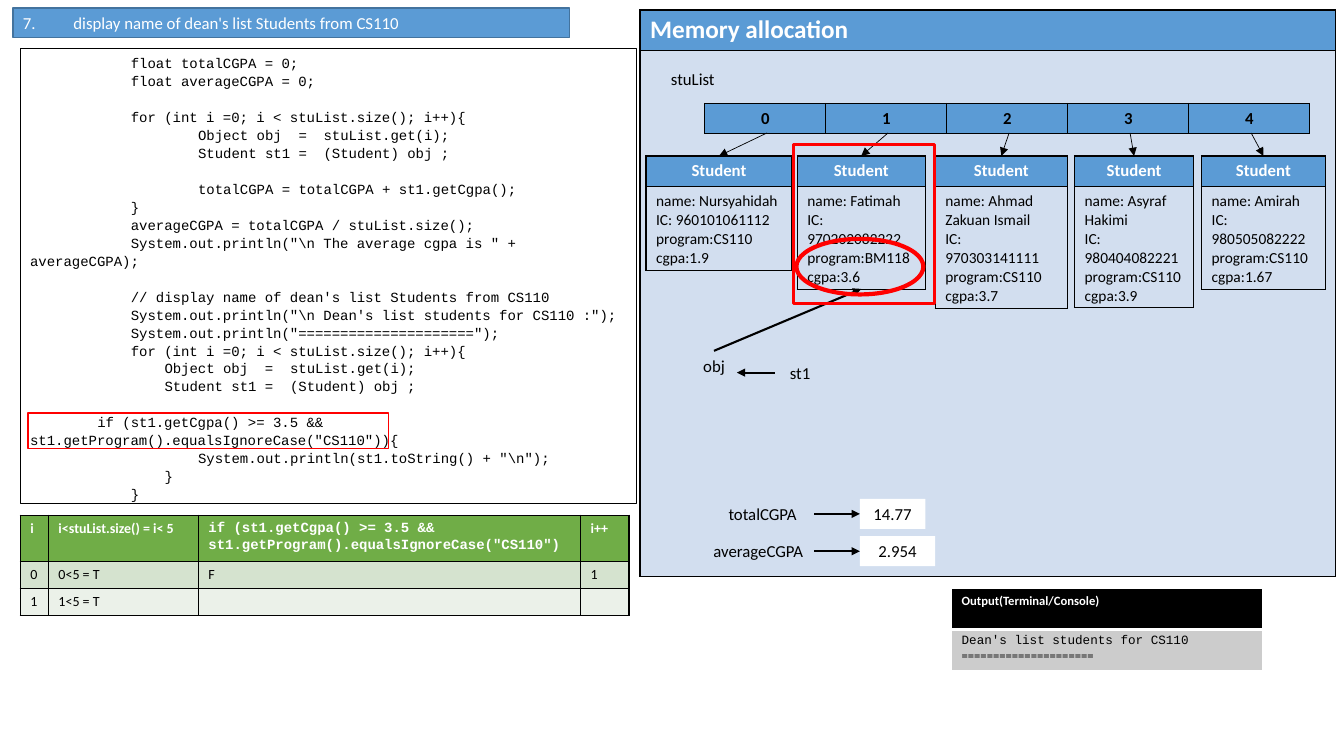
from dataclasses import dataclass
from lxml import etree
from pptx import Presentation
from pptx.dml.color import RGBColor
from pptx.enum.shapes import MSO_CONNECTOR, MSO_SHAPE
from pptx.enum.text import MSO_ANCHOR, PP_ALIGN
from pptx.oxml.ns import qn
from pptx.util import Cm, Pt

RECT, OVAL = MSO_SHAPE.RECTANGLE, MSO_SHAPE.OVAL
LINE = MSO_CONNECTOR.STRAIGHT
LEFT, MID = PP_ALIGN.LEFT, PP_ALIGN.CENTER
TOP, HALF = MSO_ANCHOR.TOP, MSO_ANCHOR.MIDDLE


@dataclass(frozen=True)
class Theme:
    ink: str = "000000"
    white: str = "FFFFFF"
    blue: str = "5B9BD5"
    edge: str = "43739E"
    pale: str = "D2DEEF"
    green: str = "70AD47"
    band: str = "D5E3CF"
    light: str = "EBF1E9"
    gray: str = "CCCCCC"
    red: str = "FF0000"
    sans: str = "Calibri"
    mono: str = "Courier New"
    head: float = 18
    body: float = 12
    card: float = 11
    code: float = 10
    note: float = 9


T = Theme()

LOOP = (12, "for (int i =0; i < stuList.size(); i++){")
FETCH = "Object obj  =  stuList.get(i);"
CAST = "Student st1 =  (Student) obj ;"
BLOCKS = [
    [(12, "float totalCGPA = 0;"), (12, "float averageCGPA = 0;")],
    [LOOP, (20, FETCH), (20, CAST)],
    [(20, "totalCGPA = totalCGPA + st1.getCgpa();"),
     (12, "}"),
     (12, "averageCGPA = totalCGPA / stuList.size();"),
     (12, r'System.out.println("\n The average cgpa is " + averageCGPA);')],
    [(12, "// display name of dean's list Students from CS110"),
     (12, r'''System.out.println("\n Dean's list students for CS110 :");'''),
     (12, 'System.out.println("=====================");'),
     LOOP, (16, FETCH), (16, CAST)],
    [(8, "if (st1.getCgpa() >= 3.5 &&"),
     (0, 'st1.getProgram().equalsIgnoreCase("CS110")){'),
     (20, r'System.out.println(st1.toString() + "\n");'),
     (16, "}"),
     (12, "}")],
]

CARDS = [
    (0.15, 3.68, 2.87, "Nursyahidah", "960101061112", "CS110", "1.9"),
    (3.96, 3.23, 3.35, "Fatimah", "970202082222", "BM118", "3.6"),
    (7.44, 3.33, 3.84, "Ahmad Zakuan Ismail", "970303141111", "CS110", "3.7"),
    (10.95, 3, 3.81, "Asyraf Hakimi", "980404082221", "CS110", "3.9"),
    (14.15, 3.12, 3.35, "Amirah", "980505082222", "CS110", "1.67"),
]

TRACE = [
    ["i", "i<stuList.size() = i< 5",
     'if (st1.getCgpa() >= 3.5 &&\nst1.getProgram().equalsIgnoreCase("CS110")', "i++"],
    ["0", "0<5 = T", "F", "1"],
    ["1", "1<5 = T", "", ""],
]


def write(frame, text, size, color=T.ink, bold=False, face=T.sans, align=LEFT):
    frame.text = text
    for para in frame.paragraphs:
        para.alignment = align
        for run in para.runs:
            run.font.size, run.font.bold, run.font.name = Pt(size), bold, face
            run.font.color.rgb = RGBColor.from_string(color)
        if not para.runs:
            para._p.get_or_add_endParaRPr().set("sz", str(int(size * 100)))


def shape(slide, kind, box, fill=None, line=None, width=1):
    item = slide.shapes.add_shape(kind, *map(Cm, box))
    item.shadow.inherit = False
    if fill:
        item.fill.solid()
        item.fill.fore_color.rgb = RGBColor.from_string(fill)
    else:
        item.fill.background()
    if line:
        item.line.color.rgb = RGBColor.from_string(line)
        item.line.width = Pt(width)
    else:
        item.line.fill.background()
    return item


def label(slide, box, text, align=LEFT):
    item = slide.shapes.add_textbox(*map(Cm, box))
    item.text_frame.word_wrap = False
    write(item.text_frame, text, T.body, align=align)
    return item


def arrow(slide, start, end, width):
    item = slide.shapes.add_connector(LINE, *map(Cm, start + end))
    item.line.color.rgb = RGBColor.from_string(T.ink)
    item.line.width = Pt(width)
    etree.SubElement(item.line._get_or_add_ln(), qn("a:tailEnd"), type="triangle")
    etree.SubElement(item._element.spPr, qn("a:effectLst"))
    return item


def grid(slide, x, y, cols, rows):
    frame = slide.shapes.add_table(len(rows), len(cols), Cm(x), Cm(y),
                                   Cm(sum(cols)), Cm(sum(rows)))
    table = frame.table
    table.first_row = table.horz_banding = False
    for col, size in zip(table.columns, cols):
        col.width = Cm(size)
    for row, size in zip(table.rows, rows):
        row.height = Cm(size)
    return table


def paint(cell, fill, border=T.ink, base=1):
    props = cell._tc.get_or_add_tcPr()
    for side, width in (("L", 1), ("R", 1), ("T", 1), ("B", base)):
        line = etree.SubElement(props, qn(f"a:ln{side}"), w=str(Pt(width)))
        solid = etree.SubElement(line, qn("a:solidFill"))
        etree.SubElement(solid, qn("a:srgbClr"), val=border)
    cell.fill.solid()
    cell.fill.fore_color.rgb = RGBColor.from_string(fill)


def title(slide, box):
    bar = shape(slide, RECT, box, T.blue, T.edge)
    bar.text_frame.vertical_anchor = HALF
    write(bar.text_frame, "7.\tdisplay name of dean's list Students from CS110",
          T.body, T.white)


def listing(slide, box):
    x, y = box[:2]
    frame = shape(slide, RECT, box, T.white, T.ink, 0.75).text_frame
    frame.word_wrap, frame.vertical_anchor = True, TOP
    lines = [(b > 0 and n == 0, depth, text) for b, block in enumerate(BLOCKS)
             for n, (depth, text) in enumerate(block)]
    write(frame, "\n".join(text for _, _, text in lines), T.code, face=T.mono)
    for para, (gap, depth, _) in zip(frame.paragraphs, lines):
        para.line_spacing = 1.07
        para.space_before = Pt(12.8 if gap else 0)
        props = para._p.get_or_add_pPr()
        props.set("marL", "0")
        props.set("indent", str(Pt(depth * T.code * 0.6)))
    shape(slide, RECT, (x + 0.2, y + 9.19, 9.09, 0.89), line=T.red)


def student(slide, box, name, ident, course, cgpa):
    x, y, w, h = box
    table = grid(slide, x, y, [w], [0.77, h - 0.77])
    head, body = table.cell(0, 0), table.cell(1, 0)
    write(head.text_frame, "Student", T.body, T.white, True, align=MID)
    write(body.text_frame, f"name: {name}\nIC: {ident}\nprogram:{course}\ncgpa:{cgpa}", T.card)
    paint(head, T.blue)
    paint(body, T.pale)


def total(slide, x, y, wide, name, room, value):
    tag = label(slide, (x + 4.39 - wide, y, wide, 0.76), name)
    cell = shape(slide, RECT, (x + 5.54, y, room, 0.76), T.white)
    cell.text_frame.vertical_anchor = TOP
    write(cell.text_frame, value, T.body, align=MID)
    link = arrow(slide, (x + 4.39, y + 0.38), (x + 5.54, y + 0.38), 1.5)
    link.begin_connect(tag, 3)
    link.end_connect(cell, 1)


def memory(slide, box):
    x, y, w, h = box
    panel = grid(slide, x, y, [w], [1.02, h - 1.02])
    write(panel.cell(0, 0).text_frame, "Memory allocation", T.head, T.white, True)
    paint(panel.cell(0, 0), T.blue)
    paint(panel.cell(1, 0), T.pale)
    label(slide, (x + 0.53, y + 1.37, 1.63, 0.76), "stuList")
    slots = grid(slide, x + 1.63, y + 2.36, [3.05] * len(CARDS), [0.76])
    top = y + 3.68
    for i, (left, wide, tall, *facts) in enumerate(CARDS):
        write(slots.cell(0, i).text_frame, str(i), T.body, bold=True, align=MID)
        paint(slots.cell(0, i), T.blue)
        student(slide, (x + left, top, wide, tall), *facts)
        arrow(slide, (x + 3.2 + 3.05 * i, y + 3.1), (x + left + wide / 2, top), 0.5)
    total(slide, x, y + 12.32, 2.41, "totalCGPA", 1.65, "14.77")
    total(slide, x, y + 13.26, 2.79, "averageCGPA", 1.9, "2.954")
    st1 = label(slide, (x + 3.4, y + 8.76, 1.27, 0.76), "st1", MID)
    link = arrow(slide, (x + 3.4, y + 9.14), (x + 2.44, y + 9.14), 1.5)
    link.begin_connect(st1, 1)
    obj = label(slide, (x + 0.81, y + 8.59, 2.11, 0.94), "obj", MID)
    left, wide, tall = CARDS[1][:3]
    link = arrow(slide, (x + 1.86, y + 8.59), (x + left + wide / 2, top + tall), 1.5)
    link.begin_connect(obj, 0)
    shape(slide, RECT, (x + left - 0.1, top - 0.28, 3.56, 3.99), line=T.red, width=2.25)
    shape(slide, OVAL, (x + left - 0.02, top + 2.09, 3.2, 1.4), line=T.red, width=3)


def trace(slide, x, y):
    table = grid(slide, x, y, [0.71, 3.78, 9.63, 1.22], [1.17, 0.68, 0.68])
    for r, (row, fill) in enumerate(zip(TRACE, (T.green, T.band, T.light))):
        for c, text in enumerate(row):
            cell, head = table.cell(r, c), r == 0
            write(cell.text_frame, text, T.code, T.white if head else T.ink, head,
                  T.mono if head and c == 2 else T.sans)
            paint(cell, fill)
    for para in table.cell(0, 2).text_frame.paragraphs:
        para.line_spacing = 1.07


def console(slide, x, y, w):
    table = grid(slide, x, y, [w], [1.03, 1.03])
    head, body = table.cell(0, 0), table.cell(1, 0)
    write(head.text_frame, "Output(Terminal/Console)", T.note, T.white, True)
    write(body.text_frame, "Dean's list students for CS110\n=====================",
          T.note, face=T.mono)
    body.text_frame.paragraphs[1].runs[0].font.name = T.sans
    paint(head, T.ink, T.white, 3)
    paint(body, T.gray, T.white)


def main():
    deck = Presentation()
    deck.slide_width, deck.slide_height = Cm(33.87), Cm(19.05)
    slide = deck.slides.add_slide(deck.slide_layouts[6])
    listing(slide, (0.51, 1.22, 15.54, 11.48))
    memory(slide, (16.13, 0.25, 17.53, 14.27))
    trace(slide, 0.51, 12.98)
    console(slide, 23.98, 14.83, 7.85)
    title(slide, (0.33, 0.2, 14.02, 0.74))
    deck.save("out.pptx")


if __name__ == "__main__":
    main()
